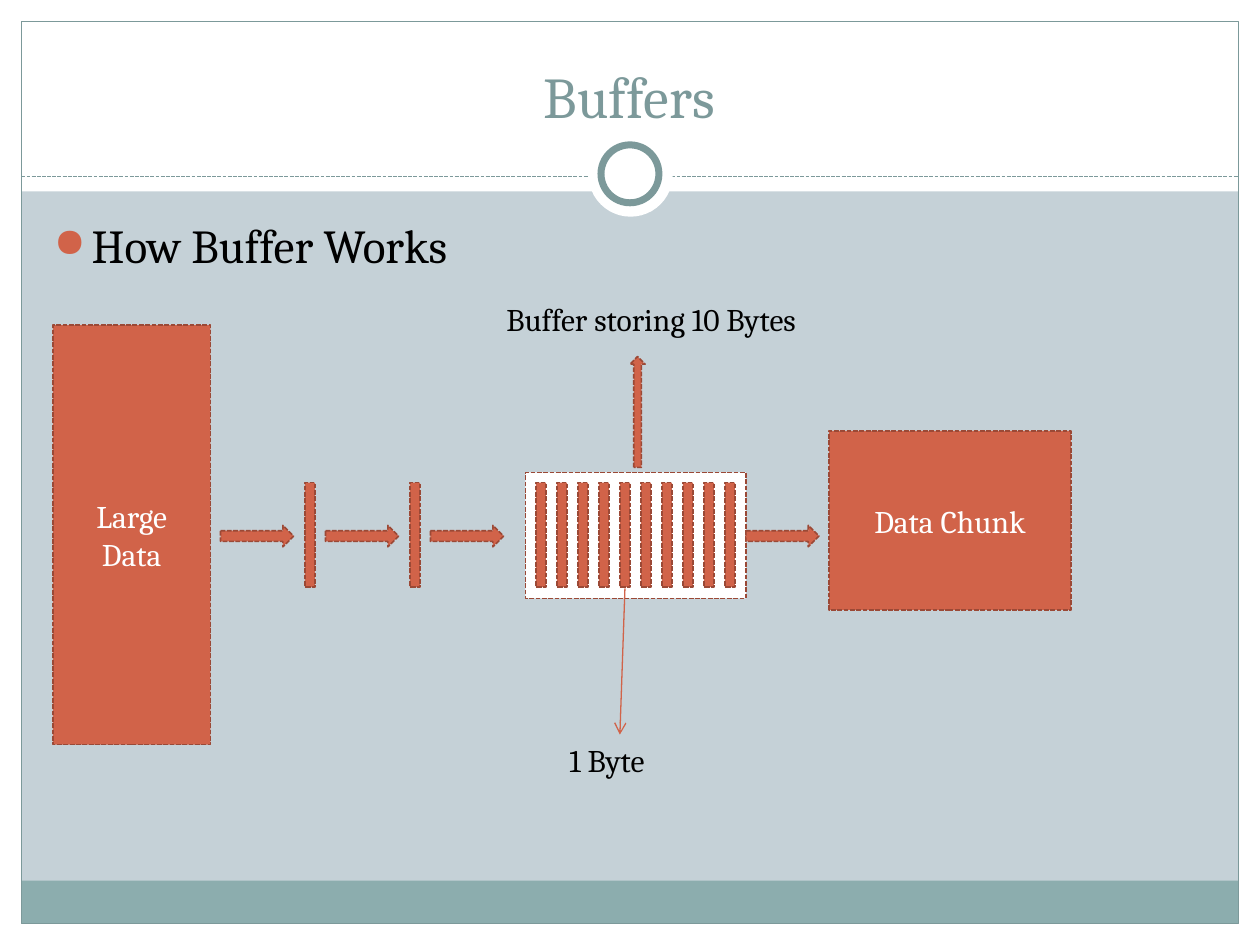
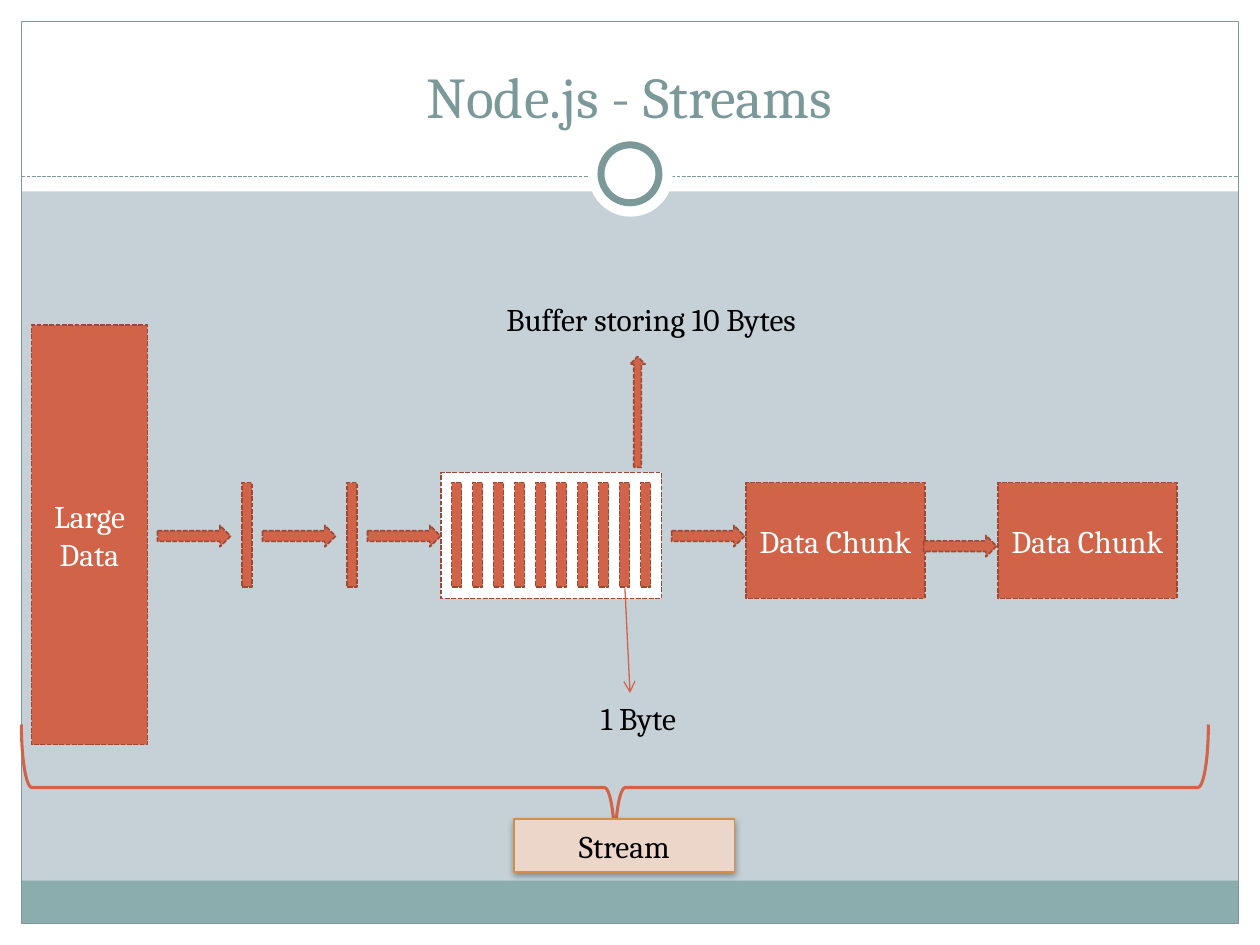
from dataclasses import dataclass

from lxml import etree
from pptx import Presentation
from pptx.dml.color import RGBColor
from pptx.enum.dml import MSO_LINE
from pptx.enum.shapes import MSO_CONNECTOR, MSO_SHAPE, MSO_SHAPE_TYPE
from pptx.enum.text import MSO_ANCHOR, PP_ALIGN
from pptx.oxml import parse_xml
from pptx.oxml.ns import qn
from pptx.util import Inches, Pt

RECTANGLE = MSO_SHAPE.RECTANGLE
ELLIPSE = MSO_SHAPE.OVAL
ARROW = MSO_SHAPE.RIGHT_ARROW
BRACE = MSO_SHAPE.LEFT_BRACE
STRAIGHT = MSO_CONNECTOR.STRAIGHT
LINE = MSO_SHAPE_TYPE.LINE
DASH = MSO_LINE.SQUARE_DOT
LEFT, CENTER = PP_ALIGN.LEFT, PP_ALIGN.CENTER
TOP, MIDDLE, BOTTOM = MSO_ANCHOR.TOP, MSO_ANCHOR.MIDDLE, MSO_ANCHOR.BOTTOM
DRAWING = "http://schemas.openxmlformats.org/drawingml/2006/main"


@dataclass(frozen=True)
class Theme:
    background: str = "C5D1D7"
    white: str = "FFFFFF"
    black: str = "000000"
    band: str = "8CADAE"
    frame: str = "7C999A"
    accent: str = "D16349"
    outline: str = "9B4936"
    label_fill: str = "ECD6C9"
    label_line: str = "D19049"
    font: str = "Cambria"
    title_size: float = 33
    body_size: float = 27
    label_size: float = 18


theme = Theme()


def write_text(shape, text, size=theme.label_size, color=theme.black, align=LEFT, anchor=TOP):
    frame = shape.text_frame
    frame.word_wrap = True
    frame.vertical_anchor = anchor
    paragraph = frame.paragraphs[0]
    paragraph.alignment = align
    run = paragraph.add_run()
    run.text = text
    run.font.name = theme.font
    run.font.size = Pt(size)
    run.font.color.rgb = RGBColor.from_string(color)
    return paragraph


def add_block(slide, geometry, box, fill=theme.accent, line=theme.outline, width=0.9, dash=DASH):
    shape = slide.shapes.add_shape(geometry, *map(Inches, box))
    shape.shadow.inherit = False
    if fill:
        shape.fill.solid()
        shape.fill.fore_color.rgb = RGBColor.from_string(fill)
    else:
        shape.fill.background()
    if line:
        shape.line.color.rgb = RGBColor.from_string(line)
        shape.line.width = Pt(width)
        shape.line.dash_style = dash
    else:
        shape.line.fill.background()
    return shape


presentation = Presentation()
presentation.slide_width = Inches(10)
presentation.slide_height = Inches(7.5)

frame_bands = [
    ((0, 7.33, 10, 0.17), theme.white),
    ((0, 0, 10, 1.52), theme.white),
    ((0, 0, 0.17, 7.5), theme.white),
    ((9.83, 0, 0.17, 7.5), theme.white),
    ((0.17, 6.99, 9.66, 0.34), theme.band),
]

diagrams = [
    {
        "title": "Buffers",
        "source": (0.42, 2.58, 1.25, 3.33),
        "first_arrow": 1.75,
        "buffer_left": 4.17,
        "chunks": [(6.58, 3.42, 1.92, 1.42)],
        "output_arrows": [(5.92, 4.17)],
        "pointer_end": (4.92, 5.83),
        "byte_label_left": 4.42,
    },
    {
        "title": "Node.js - Streams",
        "source": (0.25, 2.58, 0.92, 3.33),
        "first_arrow": 1.25,
        "buffer_left": 3.5,
        "chunks": [(5.92, 3.83, 1.42, 0.92), (7.92, 3.83, 1.42, 0.92)],
        "output_arrows": [(5.33, 4.17), (7.33, 4.25)],
        "pointer_end": (5, 5.5),
        "byte_label_left": 4.67,
    },
]

for diagram in diagrams:
    slide = presentation.slides.add_slide(presentation.slide_layouts[6])
    slide.background.fill.solid()
    slide.background.fill.fore_color.rgb = RGBColor.from_string(theme.background)

    for box, color in frame_bands:
        add_block(slide, RECTANGLE, box, fill=color, line=None)
    add_block(slide, RECTANGLE, (0.17, 0.17, 9.66, 7.16), fill=None, line=theme.frame, width=0.75, dash=None)
    divider = slide.shapes.add_connector(STRAIGHT, Inches(0.17), Inches(1.4), Inches(9.83), Inches(1.4))
    divider.line.color.rgb = RGBColor.from_string(theme.frame)
    divider.line.width = Pt(0.75)
    divider.line.dash_style = DASH
    add_block(slide, ELLIPSE, (4.67, 1.05, 0.67, 0.67), fill=theme.white, line=None)
    add_block(slide, ELLIPSE, (4.77, 1.15, 0.46, 0.46), fill=theme.white, line=theme.frame, width=4, dash=None)
    title = slide.shapes.add_textbox(Inches(0.33), Inches(0.25), Inches(9.33), Inches(0.83))
    write_text(title, diagram["title"], size=theme.title_size, color=theme.frame, align=CENTER, anchor=BOTTOM)

    source = add_block(slide, RECTANGLE, diagram["source"])
    write_text(source, "Large Data", color=theme.white, align=CENTER, anchor=MIDDLE)

    buffer_left = diagram["buffer_left"]
    add_block(slide, RECTANGLE, (buffer_left, 3.75, 1.75, 1), fill=theme.white)
    moving_bytes = [diagram["first_arrow"] + 0.67 + index * 5 / 6 for index in range(2)]
    stored_bytes = [buffer_left + 1 / 12 + index / 6 for index in range(10)]
    for left in moving_bytes + stored_bytes:
        add_block(slide, RECTANGLE, (left, 3.83, 0.08, 0.83))

    for chunk_box in diagram["chunks"]:
        chunk = add_block(slide, RECTANGLE, chunk_box)
        write_text(chunk, "Data Chunk", color=theme.white, align=CENTER, anchor=MIDDLE)

    input_arrows = [(diagram["first_arrow"] + index * 5 / 6, 4.17) for index in range(3)]
    for left, top in input_arrows + diagram["output_arrows"]:
        add_block(slide, ARROW, (left, top, 0.58, 0.17))
    add_block(slide, ARROW, (4.62, 3.21, 0.88, 0.12)).rotation = 270

    end_left, end_top = diagram["pointer_end"]
    pointer = slide.shapes.add_connector(STRAIGHT, Inches(4.96), Inches(4.67), Inches(end_left), Inches(end_top))
    pointer.line.color.rgb = RGBColor.from_string(theme.accent)
    pointer.line.width = Pt(0.75)
    etree.SubElement(pointer.line._get_or_add_ln(), qn("a:tailEnd"), type="arrow")

    captions = [
        ("Buffer storing 10 Bytes", 3.92, 2.33, 2.75),
        ("1 Byte", diagram["byte_label_left"], end_top, 0.92),
    ]
    for text, left, top, width in captions:
        caption = slide.shapes.add_textbox(Inches(left), Inches(top), Inches(width), Inches(0.4))
        write_text(caption, text)

    for shape in slide.shapes:
        if shape.shape_type == LINE:
            etree.SubElement(shape._element.spPr, qn("a:effectLst"))

buffers_slide, streams_slide = presentation.slides

body = buffers_slide.shapes.add_textbox(Inches(0.33), Inches(1.67), Inches(9.3), Inches(5))
heading = write_text(body, "How Buffer Works", size=theme.body_size)
heading.space_before = Pt(theme.body_size * 0.2)
properties = heading._p.get_or_add_pPr()
properties.set("marL", str(Inches(0.3)))
properties.set("indent", str(Inches(-0.3)))
bullet_color = etree.SubElement(properties, qn("a:buClr"))
etree.SubElement(bullet_color, qn("a:srgbClr"), val=theme.accent)
etree.SubElement(properties, qn("a:buSzPct"), val="85000")
etree.SubElement(properties, qn("a:buChar"), char="●")

brace = add_block(streams_slide, BRACE, (4.38, 1.54, 1, 9.42), fill=None, line=theme.accent, width=1.75, dash=None)
brace.rotation = 270

stream_label = add_block(
    streams_slide, RECTANGLE, (4.08, 6.5, 1.75, 0.42),
    fill=theme.label_fill, line=theme.label_line, width=0.75, dash=None,
)
write_text(stream_label, "Stream", align=CENTER, anchor=MIDDLE)
shadow = parse_xml(
    f'<a:outerShdw xmlns:a="{DRAWING}" blurRad="{Pt(4)}" dist="{Pt(2)}" dir="5400000" rotWithShape="0">'
    f'<a:srgbClr val="{theme.black}"><a:alpha val="35000"/></a:srgbClr></a:outerShdw>'
)
stream_label._element.spPr.find(qn("a:effectLst")).append(shadow)

presentation.save("out.pptx")
